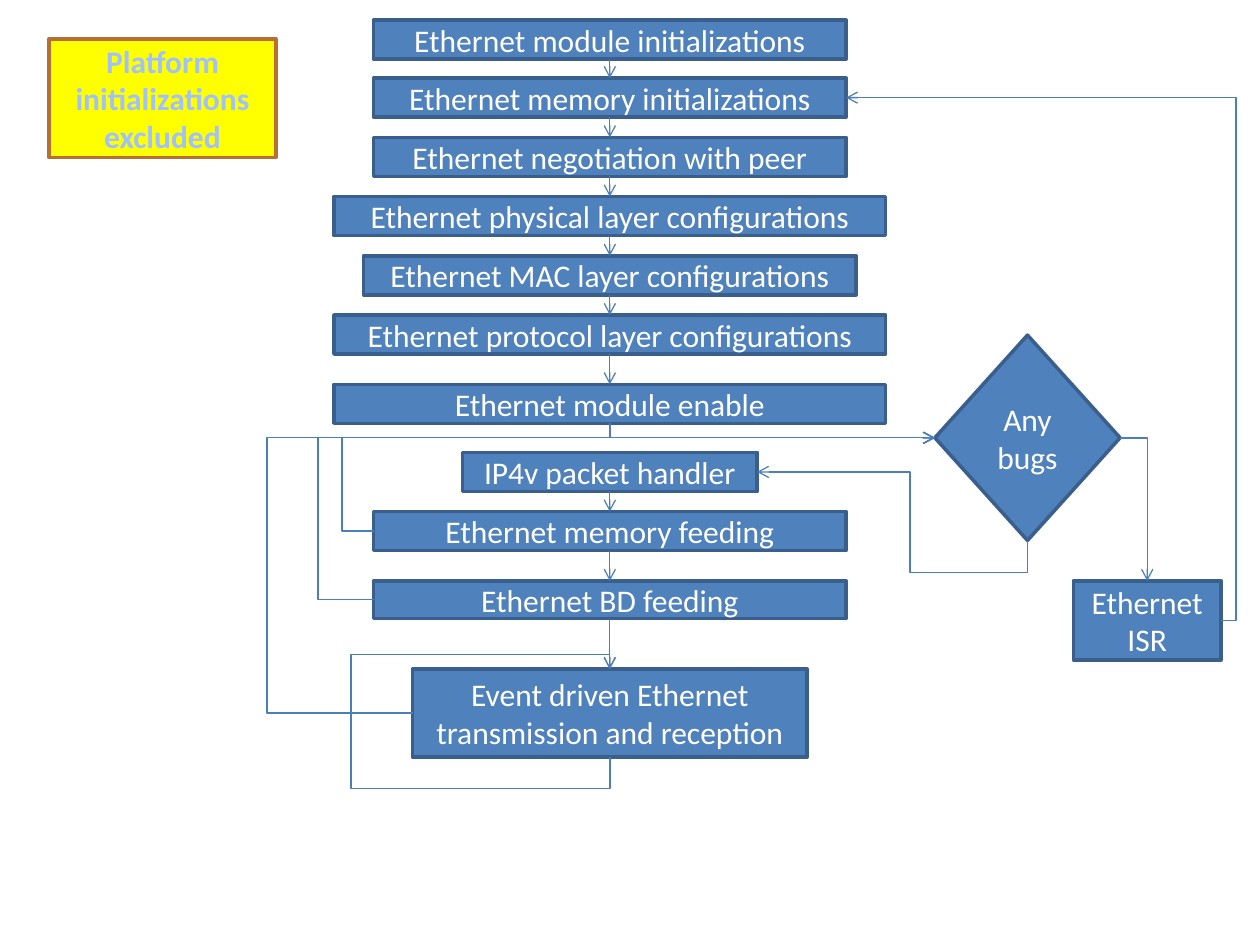
from lxml.etree import SubElement
from pptx import Presentation
from pptx.dml.color import RGBColor
from pptx.enum.shapes import MSO_CONNECTOR, MSO_SHAPE
from pptx.enum.text import MSO_ANCHOR, PP_ALIGN
from pptx.oxml import parse_xml
from pptx.oxml.ns import nsdecls, qn
from pptx.util import Inches, Pt

COLORS = {
    "box": "4F81BD", "border": "3A5F8C", "arrow": "4B7EBC", "text": "FFFFFF",
    "note": "FFFF00", "note_border": "B76F34", "note_outline": "467AB8",
}
NOTE_GRADIENT = [(0, "BFD3F9"), (9, "A0C1FF"), (50, "003D85"), (79, "A0C1FF"), (100, "BFD3F9")]
FONT = {"name": "Calibri", "size": Pt(18)}

# Connection sites
TOP, LEFT, BOTTOM, RIGHT = range(4)
FLOW_CENTER = 4.84

# Flow steps: key, text, top, width, height
STEPS = [
    ("module", "Ethernet module initializations", 0.16, 3.75, 0.31),
    ("memory", "Ethernet memory initializations", 0.62, 3.75, 0.31),
    ("peer", "Ethernet negotiation with peer", 1.09, 3.75, 0.31),
    ("physical", "Ethernet physical layer configurations", 1.56, 4.38, 0.31),
    ("mac", "Ethernet MAC layer configurations", 2.03, 3.91, 0.31),
    ("protocol", "Ethernet protocol layer configurations", 2.5, 4.38, 0.31),
    ("enable", "Ethernet module enable", 3.05, 4.38, 0.31),
    ("handler", "IP4v packet handler", 3.59, 2.34, 0.31),
    ("feeding", "Ethernet memory feeding", 4.06, 3.75, 0.31),
    ("bd", "Ethernet BD feeding", 4.61, 3.75, 0.3),
    ("event", "Event driven Ethernet transmission and reception", 5.31, 3.13, 0.7),
]

# Routes: start, site, end, site, bends, rotation, flips, adjustments in percent
ROUTES = [
    ("event", BOTTOM, "event", TOP, 5, 90, "H", (-35.6, 104368, 116.7)),
    ("enable", BOTTOM, "bugs", LEFT, 2, 270, "H", ()),
    ("bugs", RIGHT, "isr", TOP, 2, 0, "", ()),
    ("bugs", BOTTOM, "handler", RIGHT, 4, 90, "H", (-47.1, 43.5)),
    ("isr", RIGHT, "memory", RIGHT, 3, 0, "HV", (-4,)),
    ("feeding", LEFT, "bugs", LEFT, 3, 180, "H", (-5.6,)),
    ("bd", LEFT, "bugs", LEFT, 3, 180, "H", (-9.9,)),
    ("event", LEFT, "bugs", LEFT, 3, 180, "H", (-27.9,)),
]


def rgb(key):
    return RGBColor.from_string(COLORS[key])


def add_box(slide, text, left, top, width, height,
            kind=MSO_SHAPE.RECTANGLE, fill="box", border="border"):
    box = slide.shapes.add_shape(kind, *map(Inches, (left, top, width, height)))
    box.shadow.inherit = False
    box.fill.solid()
    box.fill.fore_color.rgb = rgb(fill)
    box.line.color.rgb = rgb(border)
    box.line.width = Pt(2)
    box.text_frame.vertical_anchor = MSO_ANCHOR.MIDDLE
    paragraph = box.text_frame.paragraphs[0]
    paragraph.alignment = PP_ALIGN.CENTER
    run = paragraph.add_run()
    run.text = text
    for attribute, value in FONT.items():
        setattr(run.font, attribute, value)
    run.font.color.rgb = rgb("text")
    return box


def add_note(slide):
    note = add_box(slide, "Platform initializations excluded", 0.39, 0.31, 1.8, 0.94,
                   fill="note", border="note_border")
    run = note.text_frame.paragraphs[0].runs[0]
    run.font.bold = True
    # Outlined gradient lettering
    properties = run.font.fill
    properties.background()
    holder = run._r.get_or_add_rPr()
    holder.remove(holder.find(qn("a:noFill")))
    stops = "".join(f'<a:gs pos="{position * 1000}"><a:srgbClr val="{color}"/></a:gs>'
                    for position, color in NOTE_GRADIENT)
    holder.insert(0, parse_xml(
        f'<a:gradFill {nsdecls("a")}><a:gsLst>{stops}</a:gsLst>'
        '<a:lin ang="5400000"/></a:gradFill>'))
    holder.insert(0, parse_xml(
        f'<a:ln {nsdecls("a")} w="{Pt(0.83)}"><a:solidFill>'
        f'<a:srgbClr val="{COLORS["note_outline"]}"/></a:solidFill></a:ln>'))


def add_arrow(slide, start, start_site, end, end_site, kind=MSO_CONNECTOR.STRAIGHT):
    arrow = slide.shapes.add_connector(kind, 0, 0, 0, 0)
    arrow.begin_connect(start, start_site)
    arrow.end_connect(end, end_site)
    arrow.line.color.rgb = rgb("arrow")
    arrow.line.width = Pt(0.75)
    SubElement(arrow.line._get_or_add_ln(), qn("a:tailEnd"), type="arrow")
    SubElement(arrow._element.spPr, qn("a:effectLst"))
    return arrow


def add_route(slide, start, start_site, end, end_site, bends, rotation, flips, adjustments):
    route = add_arrow(slide, start, start_site, end, end_site, MSO_CONNECTOR.ELBOW)
    center_x = (route.begin_x + route.end_x) // 2
    center_y = (route.begin_y + route.end_y) // 2
    # A bent connector needs a slight extent for its percentages to act on
    width, height = (max(side, Pt(0.13)) for side in (route.width, route.height))
    if rotation in (90, 270):
        width, height = height, width
    frame = {"left": center_x - width // 2, "top": center_y - height // 2,
             "width": width, "height": height}
    for attribute, value in frame.items():
        setattr(route, attribute, value)
    transform = route._element.spPr.find(qn("a:xfrm"))
    transform.set("rot", str(rotation * 60000))
    for axis in "HV":
        transform.set(f"flip{axis}", str(int(axis in flips)))
    geometry = route._element.spPr.find(qn("a:prstGeom"))
    geometry.set("prst", f"bentConnector{bends}")
    guides = geometry.find(qn("a:avLst"))
    for number, percent in enumerate(adjustments, 1):
        SubElement(guides, qn("a:gd"), name=f"adj{number}",
                   fmla=f"val {round(percent * 1000)}")


def main():
    deck = Presentation()
    deck.slide_width, deck.slide_height = Inches(10), Inches(7.5)
    slide = deck.slides.add_slide(deck.slide_layouts[6])

    # Boxes
    add_note(slide)
    boxes = {key: add_box(slide, text, FLOW_CENTER - width / 2, top, width, height)
             for key, text, top, width, height in STEPS}
    boxes["isr"] = add_box(slide, "Ethernet ISR", 8.52, 4.61, 1.17, 0.63)
    boxes["bugs"] = add_box(slide, "Any bugs", 7.42, 2.66, 1.47, 1.63, MSO_SHAPE.DIAMOND)

    # Straight steps; the enabled module leads to the bug check instead
    keys = [step[0] for step in STEPS]
    for current, following in zip(keys, keys[1:]):
        if current != "enable":
            add_arrow(slide, boxes[current], BOTTOM, boxes[following], TOP)

    # Bent routes
    for start, start_site, end, end_site, *bend in ROUTES:
        add_route(slide, boxes[start], start_site, boxes[end], end_site, *bend)

    deck.save("out.pptx")


main()
